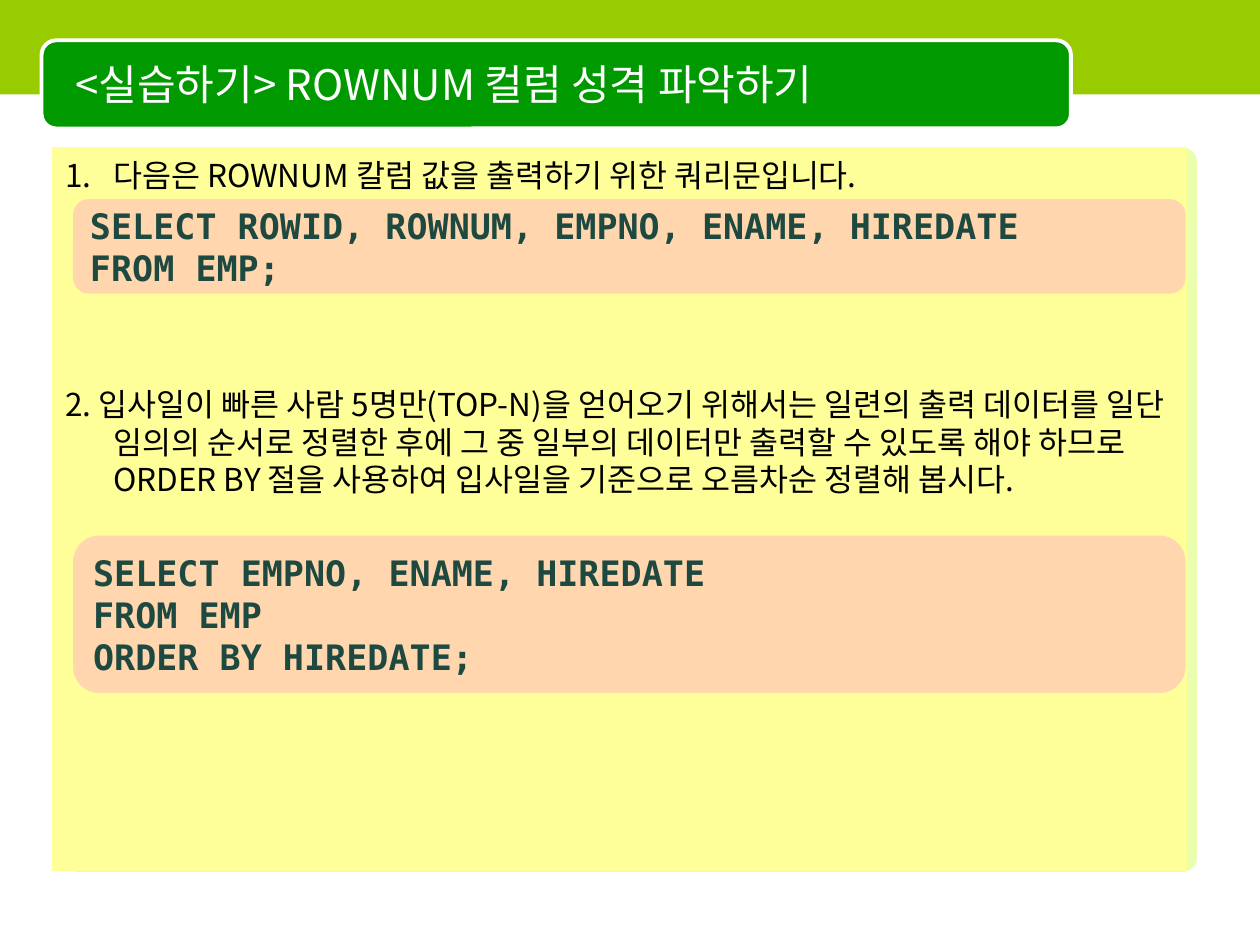
from lxml.etree import SubElement
from pptx import Presentation
from pptx.dml.color import RGBColor
from pptx.enum.shapes import MSO_SHAPE as SHAPE
from pptx.enum.text import MSO_ANCHOR as ANCHOR, PP_ALIGN as ALIGN
from pptx.oxml.ns import qn
from pptx.util import Inches, Pt

TITLE = "<실습하기> ROWNUM 컬럼 성격 파악하기"
STEPS = [
    "다음은 ROWNUM 칼럼 값을 출력하기 위한 쿼리문입니다.",
    "2. 입사일이 빠른 사람 5명만(TOP-N)을 얻어오기 위해서는 일련의 출력 데이터를 "
    "일단 임의의 순서로 정렬한 후에 그 중 일부의 데이터만 출력할 수 있도록 해야 "
    "하므로 ORDER BY 절을 사용하여 입사일을 기준으로 오름차순 정렬해 봅시다.",
]
QUERIES = [  # top, height, lines
    (1.58, 0.75, ["SELECT ROWID, ROWNUM, EMPNO, ENAME, HIREDATE", "FROM EMP;"]),
    (4.25, 1.25, ["SELECT EMPNO, ENAME, HIREDATE", "FROM EMP", "ORDER BY HIREDATE;"]),
]
COLORS = {
    "band": "99CC00", "title": "009900", "white": "FFFFFF", "shade": "CCFF33",
    "panel": "FFFF99", "query": "FF99CC", "code": "1D4940", "text": "000000",
}
KOREAN, MONO = "Noto Sans CJK KR", "DejaVu Sans Mono"


def rgb(name):
    return RGBColor.from_string(COLORS[name])


def add_box(kind, box, fill, line=None, width=0.75, opacity=None, corner=None):
    sp = s.shapes.add_shape(kind, *map(Inches, box))
    sp.shadow.inherit = False
    sp.fill.solid()
    sp.fill.fore_color.rgb = rgb(fill)
    if opacity:
        color = sp.fill._xPr.find(qn("a:solidFill"))[0]
        SubElement(color, qn("a:alpha")).set("val", str(opacity * 1000))
    if line:
        sp.line.color.rgb = rgb(line)
        sp.line.width = Pt(width)
    else:
        sp.line.fill.background()
    if corner is not None:
        sp.adjustments[0] = corner
    return sp


def write(sp, lines, size, font, color, anchor=ANCHOR.MIDDLE, bold=False, spacing=None):
    tf = sp.text_frame
    tf.word_wrap = True
    tf.vertical_anchor = anchor
    for i, line in enumerate(lines):
        p = tf.add_paragraph() if i else tf.paragraphs[0]
        p.alignment = ALIGN.LEFT
        if spacing:
            p.line_spacing = Pt(spacing)
        r = p.add_run()
        r.text = line
        r.font.size, r.font.name, r.font.bold = Pt(size), font, bold
        r.font.color.rgb = rgb(color)
        SubElement(r._r.get_or_add_rPr(), qn("a:ea")).set("typeface", font)
    return tf


prs = Presentation()
prs.slide_width, prs.slide_height = Inches(10), Inches(7.5)
s = prs.slides.add_slide(prs.slide_layouts[6])

add_box(SHAPE.ROUNDED_RECTANGLE, (0.5, 1.17, 9, 5.75), "shade", opacity=40, corner=0.02)
add_box(SHAPE.RECTANGLE, (0, 0, 10, 0.75), "band")
add_box(SHAPE.ROUNDED_RECTANGLE, (0.33, 0.32, 8.17, 0.7), "title", line="white", width=2.25)
title = s.shapes.add_textbox(*map(Inches, (0.5, 0.35, 7.92, 0.62)))
write(title, [TITLE], 24, KOREAN, "white")

panel = add_box(SHAPE.RECTANGLE, (0.42, 1.17, 9, 5.74), "panel", line="panel")
tf = write(panel, STEPS, 18, KOREAN, "text", ANCHOR.TOP, spacing=21.3)
tf.margin_top = Inches(0.07)
for p in tf.paragraphs:
    pPr = p._p.get_or_add_pPr()
    pPr.set("marL", str(Inches(0.38)))
    pPr.set("indent", str(-Inches(0.38)))
first, second = tf.paragraphs
SubElement(first._p.pPr, qn("a:buFont")).set("typeface", KOREAN)
SubElement(first._p.pPr, qn("a:buAutoNum")).set("type", "arabicPeriod")
second.space_before = Pt(110)

for top, height, lines in QUERIES:
    box = add_box(SHAPE.ROUNDED_RECTANGLE, (0.58, top, 8.83, height), "query", opacity=40)
    write(box, lines, 20, MONO, "code", bold=True, spacing=24)

prs.save("out.pptx")
